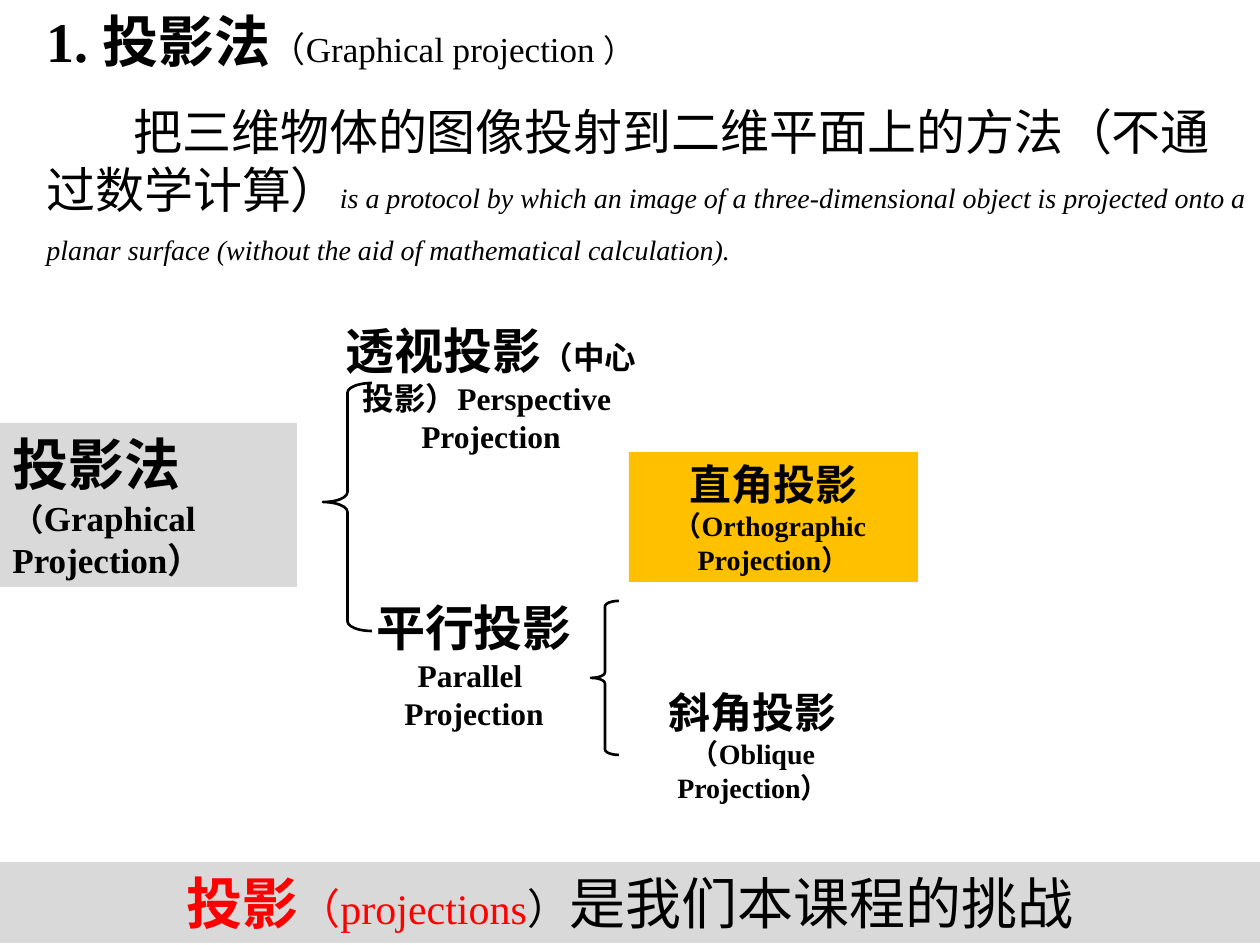
from dataclasses import dataclass

from pptx import Presentation
from pptx.dml.color import RGBColor
from pptx.enum.shapes import MSO_SHAPE
from pptx.enum.text import MSO_ANCHOR, MSO_AUTO_SIZE, PP_ALIGN
from pptx.util import Emu, Pt

RECTANGLE, LEFT_BRACE = MSO_SHAPE.RECTANGLE, MSO_SHAPE.LEFT_BRACE
TOP, MIDDLE = MSO_ANCHOR.TOP, MSO_ANCHOR.MIDDLE
LEFT, CENTER = PP_ALIGN.LEFT, PP_ALIGN.CENTER
GROW = MSO_AUTO_SIZE.SHAPE_TO_FIT_TEXT
TITLE_ONLY = 5
EMU_PER_PX = 914400 / 126


def px(value):
    return Emu(round(value * EMU_PER_PX))


@dataclass(frozen=True)
class Theme:
    font: str = "Times New Roman"
    black: RGBColor = RGBColor(0, 0, 0)
    red: RGBColor = RGBColor(0xFF, 0, 0)
    gray: RGBColor = RGBColor(0xD9, 0xD9, 0xD9)
    amber: RGBColor = RGBColor(0xFF, 0xC0, 0)
    heading: int = 32
    body: int = 28
    branch: int = 24
    subtitle: int = 20
    label: int = 18
    note: int = 16
    brace_line: float = 1.5


@dataclass
class Run:
    text: str
    size: int
    bold: bool | None = None
    italic: bool | None = None
    color: RGBColor | None = None


class SlideBuilder:
    def __init__(self, slide, theme):
        self.slide = slide
        self.theme = theme

    def set_text(self, shape, paragraphs, align=CENTER, anchor=TOP, wrap=True,
                 bold=True, color=None, indent=0):
        """Fill a shape with paragraphs, each one a list of runs."""
        frame = shape.text_frame
        frame.word_wrap = wrap
        frame.auto_size = GROW
        frame.vertical_anchor = anchor
        for index, runs in enumerate(paragraphs):
            paragraph = frame.add_paragraph() if index else frame.paragraphs[0]
            paragraph.alignment = align
            if indent:
                paragraph._p.get_or_add_pPr().set("indent", str(px(indent)))
            paragraph.font.name = self.theme.font
            paragraph.font.bold = bold
            paragraph.font.color.rgb = color or self.theme.black
            if len({item.size for item in runs}) == 1:
                paragraph.font.size = Pt(runs[0].size)
            for item in runs:
                run = paragraph.add_run()
                run.text = item.text
                if paragraph.font.size is None:
                    run.font.size = Pt(item.size)
                if item.bold is not None:
                    run.font.bold = item.bold
                if item.italic is not None:
                    run.font.italic = item.italic
                if item.color is not None:
                    run.font.color.rgb = item.color

    def title(self, box, runs):
        shape = self.slide.shapes.title
        shape.left, shape.top, shape.width, shape.height = map(px, box)
        self.set_text(shape, [runs], align=LEFT)

    def text(self, box, paragraphs, **style):
        shape = self.slide.shapes.add_textbox(*map(px, box))
        self.set_text(shape, paragraphs, **style)

    def panel(self, box, fill, paragraphs, **style):
        shape = self.slide.shapes.add_shape(RECTANGLE, *map(px, box))
        shape.shadow.inherit = False
        shape.fill.solid()
        shape.fill.fore_color.rgb = fill
        shape.line.fill.background()
        self.set_text(shape, paragraphs, **style)

    def brace(self, box, curl, tip):
        shape = self.slide.shapes.add_shape(LEFT_BRACE, *map(px, box))
        shape.shadow.inherit = False
        shape.fill.background()
        shape.line.color.rgb = self.theme.black
        shape.line.width = Pt(self.theme.brace_line)
        shape.adjustments[0] = curl
        shape.adjustments[1] = tip


def main():
    presentation = Presentation()
    presentation.slide_width, presentation.slide_height = px(1260), px(945)
    slide = presentation.slides.add_slide(presentation.slide_layouts[TITLE_ONLY])
    theme = Theme()
    builder = SlideBuilder(slide, theme)

    # Title and definition
    builder.title((34, 0, 1226, 80), [
        Run("1. 投影法", theme.heading),
        Run("（Graphical projection", theme.subtitle, bold=False),
        Run(" ）", theme.label, bold=False),
    ])
    builder.text((34, 95, 1226, 191), [[
        Run("把三维物体的图像投射到二维平面上的方法（不通过数学计算）", theme.body),
        Run("is a protocol by which an image of a three-dimensional object is "
            "projected onto a planar surface (without the aid of mathematical "
            "calculation).", theme.note, italic=True),
        Run(" ", theme.branch),
    ]], align=LEFT, bold=False, indent=87)

    # Root of the classification
    builder.panel((0, 423, 297, 164), theme.gray, [
        [Run("投影法", theme.heading), Run("（", theme.label),
         Run("Graphical", theme.subtitle)],
        [Run("Projection）", theme.subtitle)],
    ], align=LEFT)

    # Perspective and parallel branches
    builder.brace((323, 383, 49, 248), 0.2, 0.48)
    builder.text((332, 314, 318, 149), [
        [Run("透视投影", theme.body),
         Run("（中心投影）Perspective ", theme.label)],
        [Run("Projection", theme.label)],
    ])
    builder.text((363, 591, 222, 147), [
        [Run("平行投影", theme.body)],
        [Run("Parallel ", theme.label)],
        [Run("Projection", theme.label)],
    ], wrap=False)

    # Kinds of parallel projection
    builder.brace((591, 601, 28, 154), 0.2, 0.5)
    builder.panel((629, 452, 289, 130), theme.amber, [
        [Run("直角投影", theme.branch), Run("（Orthographic ", theme.note)],
        [Run("Projection）", theme.note)],
    ], anchor=MIDDLE)
    builder.text((624, 680, 258, 130), [
        [Run("斜角投影", theme.branch)],
        [Run("（Oblique", theme.note)],
        [Run("Projection）", theme.note)],
    ], anchor=MIDDLE)

    # Closing bar
    builder.panel((0, 862, 1260, 81), theme.gray, [[
        Run("投影", theme.heading, bold=True),
        Run("（projections", theme.branch),
        Run("）", theme.branch, color=theme.black),
        Run("是我们本课程的挑战", theme.heading, color=theme.black),
    ]], bold=False, color=theme.red)

    presentation.save("out.pptx")


if __name__ == "__main__":
    main()
